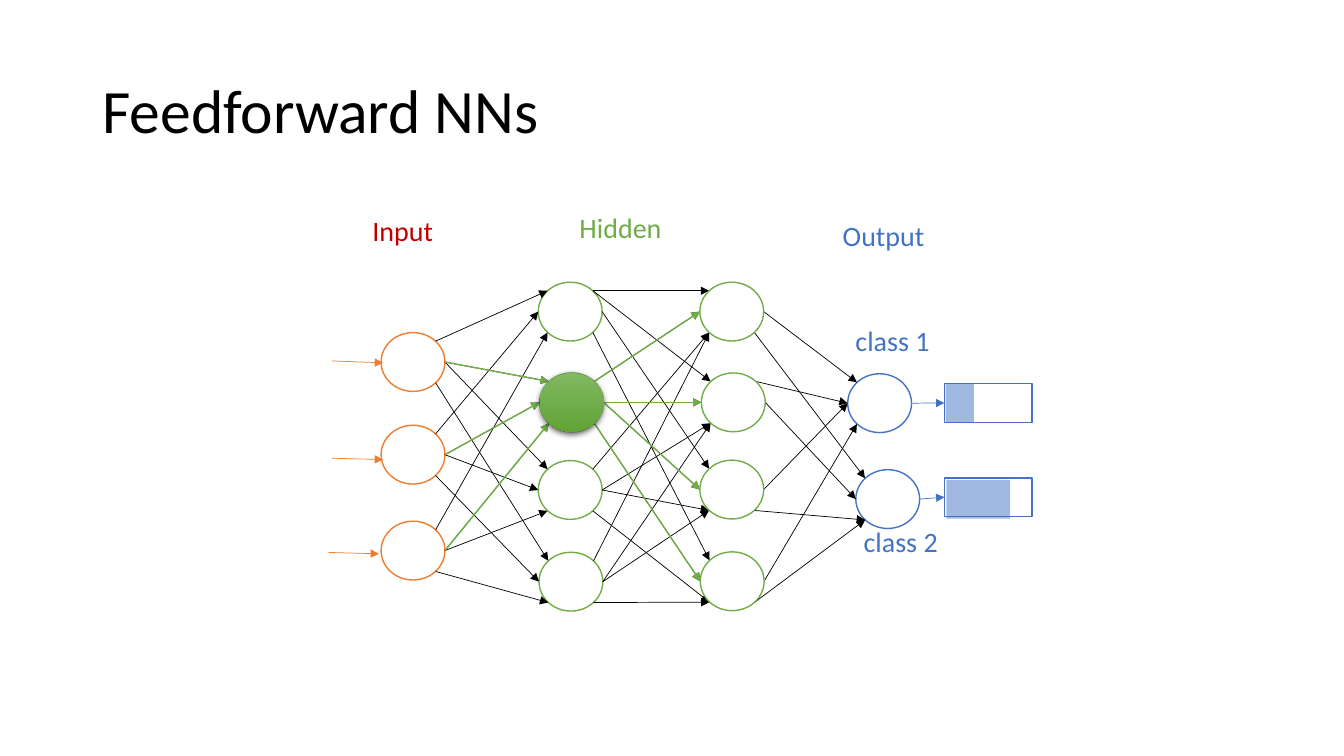
from lxml import etree
from pptx import Presentation
from pptx.dml.color import RGBColor
from pptx.enum.shapes import MSO_CONNECTOR, MSO_SHAPE
from pptx.enum.text import MSO_ANCHOR, PP_ALIGN
from pptx.oxml import parse_xml
from pptx.oxml.ns import qn
from pptx.util import Pt

STRAIGHT = MSO_CONNECTOR.STRAIGHT
CIRCLE, RECT = MSO_SHAPE.FLOWCHART_CONNECTOR, MSO_SHAPE.RECTANGLE
LEFT, CENTER = PP_ALIGN.LEFT, PP_ALIGN.CENTER
MIDDLE = MSO_ANCHOR.MIDDLE

FONT = "Calibri"
BLACK, WHITE, RED = "000000", "FFFFFF", "C00000"
ORANGE, GREEN, BLUE = "ED7D31", "70AD47", "4472C4"
NODE_W, NODE_H = 45.6, 42

# Left and top of every neuron, layer by layer
INPUTS = [(272.2, 237.6), (272.2, 303.8), (272.2, 372.3)]
HIDDEN_1 = [(384.5, 201.6), (385.5, 266.4), (384.5, 329), (385, 394.5)]
HIDDEN_2 = [(499.9, 201.6), (501, 266.4), (499.9, 328.7), (500.2, 394.2)]
OUTPUTS = [(605.5, 267), (611.3, 335.5)]
ACTIVE = 1

# Points on a neuron's outline, as offsets from its centre in radii
SITES = {"L": (-1, 0), "R": (1, 0), "TL": (-0.71, -0.71), "TR": (0.71, -0.71),
         "BL": (-0.71, 0.71), "BR": (0.71, 0.71)}

# Exit and entry sites: one row per source, one column per target
FAN = ["TR", "R", "R", "BR"]
EXITS_IN = [FAN] * 3
ENTRIES_IN = [[site] * 4 for site in ("TL", "L", "BL")]
EXITS_HIDDEN = [["TR", "TR", "R", "BR"]] + [FAN] * 3
ENTRIES_HIDDEN = [[site] * 4 for site in ("TL", "L", "BL", "BL")]
EXITS_OUT = [["R", "BR"], ["TR", "R"], ["R", "BR"], ["R", "BR"]]
ENTRIES_OUT = [["TL", "TL"], ["L", "L"], ["L", "BL"], ["BL", "BL"]]

LABELS = [("Input", 222.5, 149, 130.3, RED, CENTER),
          ("Hidden", 406.8, 146.9, 113.8, GREEN, LEFT),
          ("Output", 565.9, 152.6, 130.3, BLUE, CENTER),
          ("class 1", 572.4, 227.5, 130.3, BLUE, CENTER),
          ("class 2", 578.2, 370.8, 130.3, BLUE, CENTER)]
INPUT_ARROWS = [((236.9, 257.8), (273.6, 259.2)),
                ((236.9, 327.3), (273.6, 328.3)),
                ((234.7, 394.6), (270.7, 395.6))]
# Top of the gauge, then left, top and width of its filled part
GAUGES = [(274, 675.4, 274.3, 20.2), (341.3, 676.1, 342.7, 45.4)]
GAUGE_X, GAUGE_W, GAUGE_H = 674.6, 62.6, 27.7


def rgb(color):
    return RGBColor.from_string(color)


def format_text(p, size, color, align):
    p.alignment = align
    for r in p.runs:
        r.font.name, r.font.size = FONT, Pt(size)
        r.font.color.rgb = rgb(color)


def add_title(s, text):
    sp = s.shapes.title
    sp.left, sp.top, sp.width, sp.height = Pt(66), Pt(28.8), Pt(828), Pt(104.4)
    tf = sp.text_frame
    tf.text = text
    tf.vertical_anchor = MIDDLE
    tf.paragraphs[0].line_spacing = 0.9
    format_text(tf.paragraphs[0], 44, BLACK, LEFT)


def add_label(s, text, x, y, w, color, align):
    tf = s.shapes.add_textbox(Pt(x), Pt(y), Pt(w), Pt(40)).text_frame
    tf.word_wrap = True
    tf.text = text
    format_text(tf.paragraphs[0], 20, color, align)


def add_box(s, kind, x, y, w, h, fill, line=None):
    sp = s.shapes.add_shape(kind, Pt(x), Pt(y), Pt(w), Pt(h))
    sp.shadow.inherit = False
    sp.fill.solid()
    sp.fill.fore_color.rgb = rgb(fill)
    if line:
        sp.line.color.rgb = rgb(line)
        sp.line.width = Pt(1)
    else:
        sp.line.fill.background()
    return sp


def add_layer(s, nodes, color):
    for x, y in nodes:
        add_box(s, CIRCLE, x, y, NODE_W, NODE_H, WHITE, color)


def add_active_node(s, node):
    """Draw the highlighted neuron with a gradient and a soft shadow."""
    sp = add_box(s, CIRCLE, *node, NODE_W, NODE_H, GREEN)
    sp.fill.gradient()
    sp.fill.gradient_angle = 270
    for stop, color in zip(sp.fill.gradient_stops, ("81B861", "62A336")):
        stop.color.rgb = rgb(color)
    effects = sp._element.spPr.find(qn("a:effectLst"))
    effects.append(parse_xml(
        '<a:outerShdw xmlns:a="http://schemas.openxmlformats.org/drawingml/2006/main"'
        ' blurRad="57150" dist="19050" dir="5400000" algn="ctr" rotWithShape="0">'
        '<a:srgbClr val="000000"><a:alpha val="63000"/></a:srgbClr></a:outerShdw>'))


def add_arrow(s, start, end, color, width=0.5):
    c = s.shapes.add_connector(STRAIGHT, *(Pt(v) for v in (*start, *end)))
    c.line.color.rgb = rgb(color)
    c.line.width = Pt(width)
    etree.SubElement(c.line._get_or_add_ln(), qn("a:tailEnd"), type="triangle")
    etree.SubElement(c._element.spPr, qn("a:effectLst"))


def site_point(node, site):
    dx, dy = SITES[site]
    return node[0] + NODE_W / 2 * (1 + dx), node[1] + NODE_H / 2 * (1 + dy)


def connect(s, sources, targets, exits, entries, color=BLACK, width=0.5):
    """Join every source neuron to every target neuron."""
    for source, row_out, row_in in zip(sources, exits, entries):
        for target, leave, enter in zip(targets, row_out, row_in):
            add_arrow(s, site_point(source, leave), site_point(target, enter),
                      color, width)


def add_gauge(s, y, fill_x, fill_y, fill_w):
    add_box(s, RECT, GAUGE_X, y, GAUGE_W, GAUGE_H, WHITE, BLUE)
    sp = add_box(s, RECT, fill_x, fill_y, fill_w, GAUGE_H, BLUE)
    color = sp._element.spPr.find(qn("a:solidFill"))[0]
    etree.SubElement(color, qn("a:alpha"), val="50000")


def main():
    prs = Presentation()
    prs.slide_width, prs.slide_height = Pt(960), Pt(540)
    s = prs.slides.add_slide(prs.slide_layouts[5])
    add_title(s, "Feedforward NNs")

    add_layer(s, INPUTS, ORANGE)
    add_layer(s, HIDDEN_1, GREEN)
    add_layer(s, OUTPUTS, BLUE)
    connect(s, INPUTS, HIDDEN_1, EXITS_IN, ENTRIES_IN)
    connect(s, HIDDEN_1, HIDDEN_2, EXITS_HIDDEN, ENTRIES_HIDDEN)
    connect(s, HIDDEN_2, OUTPUTS, EXITS_OUT, ENTRIES_OUT)
    add_layer(s, HIDDEN_2, GREEN)

    active = HIDDEN_1[ACTIVE]
    connect(s, [active], HIDDEN_2, [FAN], [["L"] * 4], GREEN, 1)
    connect(s, INPUTS, [active], [["R"]] * 3, ENTRIES_IN, GREEN, 1)
    add_active_node(s, active)

    for start, end in INPUT_ARROWS:
        add_arrow(s, start, end, ORANGE)
    for node, gauge in zip(OUTPUTS, GAUGES):
        add_gauge(s, *gauge)
        add_arrow(s, site_point(node, "R"), (GAUGE_X, gauge[0] + GAUGE_H / 2), BLUE)
    for label in LABELS:
        add_label(s, *label)
    prs.save("out.pptx")


if __name__ == "__main__":
    main()
